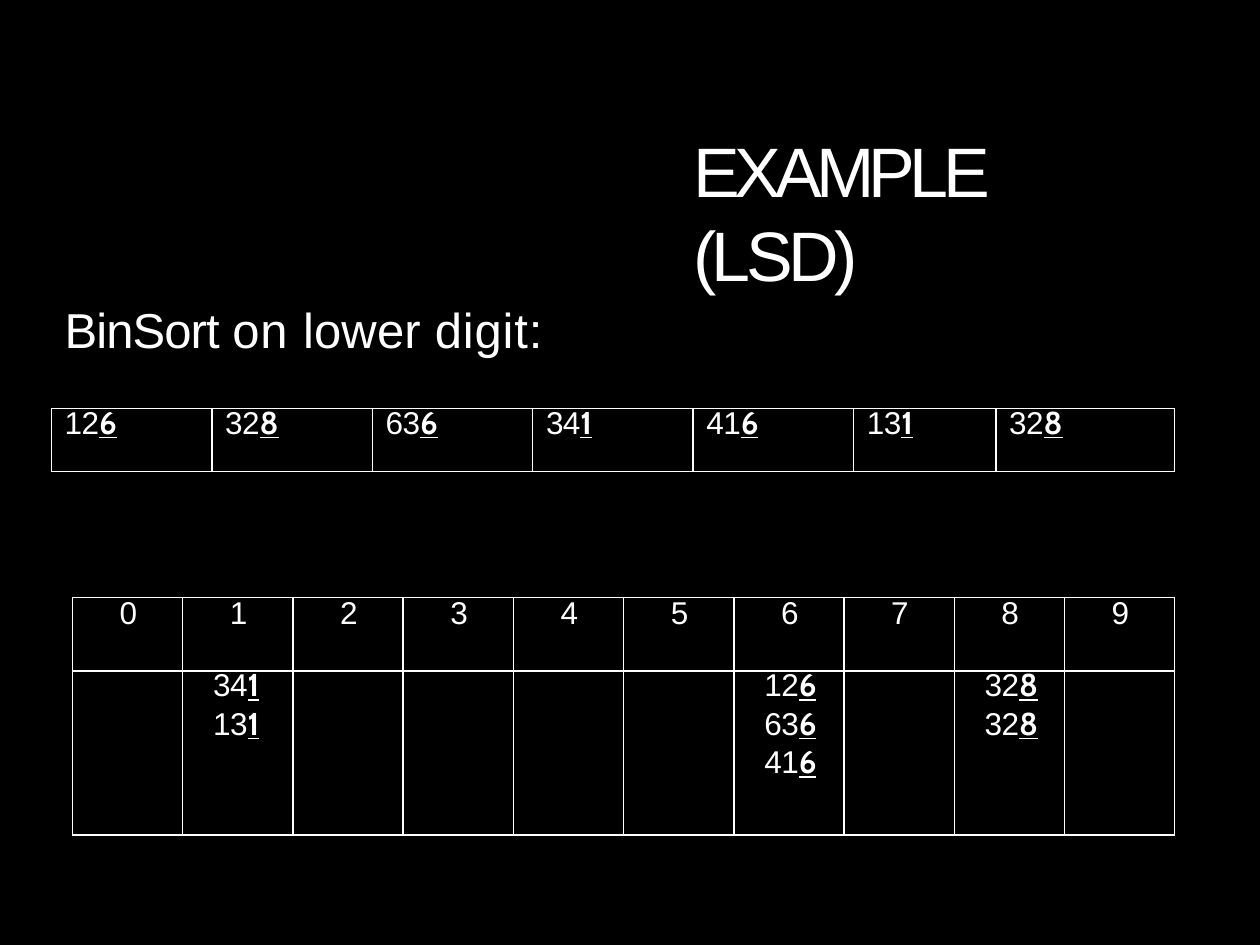
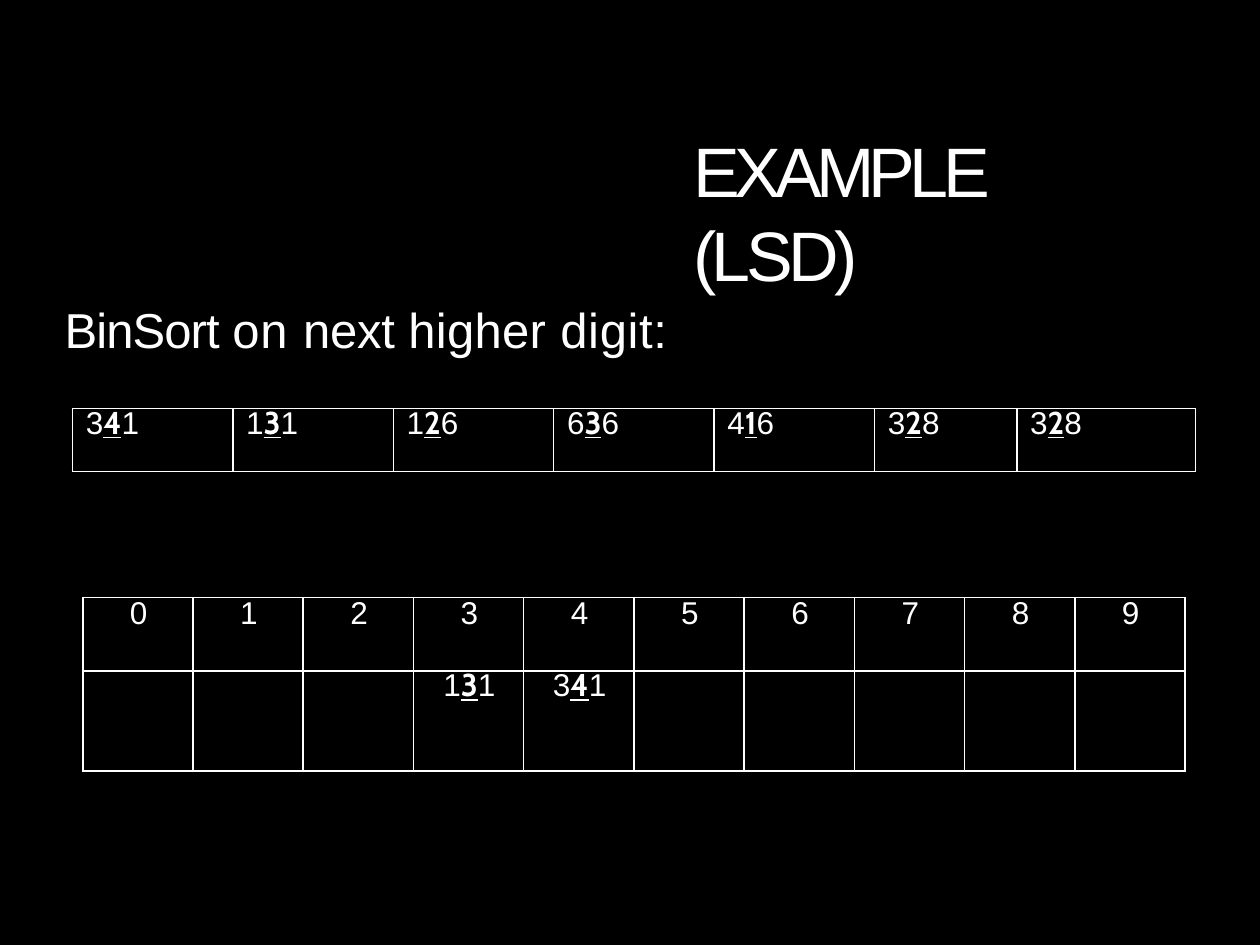
import lxml.etree
import pptx
import pptx.dml.color
import pptx.enum.text
import pptx.oxml.ns
import pptx.util

Pt = pptx.util.Pt
ALIGN = pptx.enum.text.PP_ALIGN

BLACK, WHITE = "000000", "FFFFFF"
BODY_FONT, DIGIT_FONT = "Arial", "Cabin"
TEXT_SIZE = 18
DIGIT_SPACING = -0.3

# Each piece of a line is (words, letter spacing in points).
TITLE = [("EXAMPLE ", -3.2), ("(LSD)", -2.5)]

STEPS = [
    {
        "caption": [("BinSort ", -0.5), ("on ", 0.5), ("lower ", 0.1), ("digit:", 0.5)],
        "caption_width": 276,
        "sort_place": 2,
        "numbers": ["126", "328", "636", "341", "416", "131", "328"],
        "numbers_left": 29.4,
        "bins": {1: ["341", "131"], 6: ["126", "636", "416"], 8: ["328", "328"]},
        "bins_left": 41.4,
        "bin_height": 93.8,
        "bin_layout": {"indent": 17.4},
    },
    {
        "caption": [("BinSort ", -0.5), ("on ", 0.5), ("next ", -0.1),
                    ("higher ", 0.2), ("digit:", 0.4)],
        "caption_width": 348,
        "sort_place": 1,
        "numbers": ["341", "131", "126", "636", "416", "328", "328"],
        "numbers_left": 41.4,
        "bins": {3: ["131"], 4: ["341"]},
        "bins_left": 47.3,
        "bin_height": 57.2,
        "bin_layout": {"indent": 0.9, "align": ALIGN.CENTER},
    },
]

NUMBERS_TOP, NUMBERS_HEIGHT = 233.4, 36
NUMBER_WIDTHS = [91.7] * 5 + [81.3, 102.2]
BINS_TOP, BIN_HEADER_HEIGHT = 341.5, 41.9
BIN_WIDTHS = [63] * 10


def colour(value):
    return pptx.dml.color.RGBColor.from_string(value)


def add_span(para, text, size, spacing=0, marked=False):
    """Add a white run; a marked one is the bold underlined sort digit."""
    span = para.add_run()
    span.text = text
    font = span.font
    font.size = Pt(size)
    font.name = DIGIT_FONT if marked else BODY_FONT
    font.color.rgb = colour(WHITE)
    if marked:
        font.bold = font.underline = True
    if spacing:
        span._r.get_or_add_rPr().set("spc", str(round(spacing * 100)))


def set_layout(para, indent, align=ALIGN.LEFT):
    para.alignment = align
    properties = para._p.get_or_add_pPr()
    properties.set("marL", str(Pt(indent)))
    properties.set("indent", "0")


def add_line(page, pieces, size, left, top, width, height, indent):
    box = page.shapes.add_textbox(Pt(left), Pt(top), Pt(width), Pt(height))
    frame = box.text_frame
    frame.word_wrap = True
    frame.margin_left = frame.margin_right = frame.margin_bottom = 0
    frame.margin_top = Pt(0.9)
    para = frame.paragraphs[0]
    para.space_before = Pt(0.9)
    set_layout(para, indent)
    for words, spacing in pieces:
        add_span(para, words, size, spacing)


def add_borders(cell):
    properties = cell._tc.get_or_add_tcPr()
    name = pptx.oxml.ns.qn
    for position, side in enumerate(["a:lnL", "a:lnR", "a:lnT", "a:lnB"]):
        line = lxml.etree.Element(name(side), w=str(Pt(1)))
        fill = lxml.etree.SubElement(line, name("a:solidFill"))
        lxml.etree.SubElement(fill, name("a:srgbClr"), val=WHITE)
        properties.insert(position, line)


def add_grid(page, left, top, widths, heights):
    """Add a black table with white borders and no cell margins."""
    frame = page.shapes.add_table(len(heights), len(widths), Pt(left), Pt(top),
                                  Pt(sum(widths)), Pt(sum(heights)))
    table = frame.table
    table.first_row = table.horz_banding = False
    for column, width in zip(table.columns, widths):
        column.width = Pt(width)
    for row, height in zip(table.rows, heights):
        row.height = Pt(height)
    for cell in table.iter_cells():
        cell.margin_left = cell.margin_right = cell.margin_top = cell.margin_bottom = 0
        cell.fill.solid()
        cell.fill.fore_color.rgb = colour(BLACK)
        add_borders(cell)
    return table


def write_numbers(cell, numbers, place, layout):
    """Write one number per paragraph, marking the digit at the sort place."""
    frame = cell.text_frame
    for index, number in enumerate(numbers):
        para = frame.add_paragraph() if index else frame.paragraphs[0]
        set_layout(para, **layout)
        if index == 0:
            para.line_spacing = Pt(19.4)
        parts = [number[:place], number[place], number[place + 1:]]
        for position, part in enumerate(parts):
            if part:
                add_span(para, part, TEXT_SIZE, DIGIT_SPACING, marked=position == 1)


def add_number_row(page, step):
    table = add_grid(page, step["numbers_left"], NUMBERS_TOP, NUMBER_WIDTHS, [NUMBERS_HEIGHT])
    for column, number in enumerate(step["numbers"]):
        write_numbers(table.cell(0, column), [number], step["sort_place"], {"indent": 7.6})


def add_bins(page, step):
    table = add_grid(page, step["bins_left"], BINS_TOP, BIN_WIDTHS,
                     [BIN_HEADER_HEIGHT, step["bin_height"]])
    for digit in range(len(BIN_WIDTHS)):
        para = table.cell(0, digit).text_frame.paragraphs[0]
        set_layout(para, 0.9, ALIGN.CENTER)
        para.line_spacing = Pt(19.2)
        add_span(para, str(digit), TEXT_SIZE)
    for digit, numbers in step["bins"].items():
        write_numbers(table.cell(1, digit), numbers, step["sort_place"], step["bin_layout"])


def main():
    deck = pptx.Presentation()
    deck.slide_width, deck.slide_height = Pt(720), Pt(540)
    for step in STEPS:
        page = deck.slides.add_slide(deck.slide_layouts[6])
        page.background.fill.solid()
        page.background.fill.fore_color.rgb = colour(BLACK)
        add_line(page, TITLE, 40, 52.6, 72, 614.8, 49.7, indent=343.4)
        add_line(page, step["caption"], 28, 36, 170, step["caption_width"], 35.3, indent=0.9)
        add_number_row(page, step)
        add_bins(page, step)
    deck.save("out.pptx")


if __name__ == "__main__":
    main()
